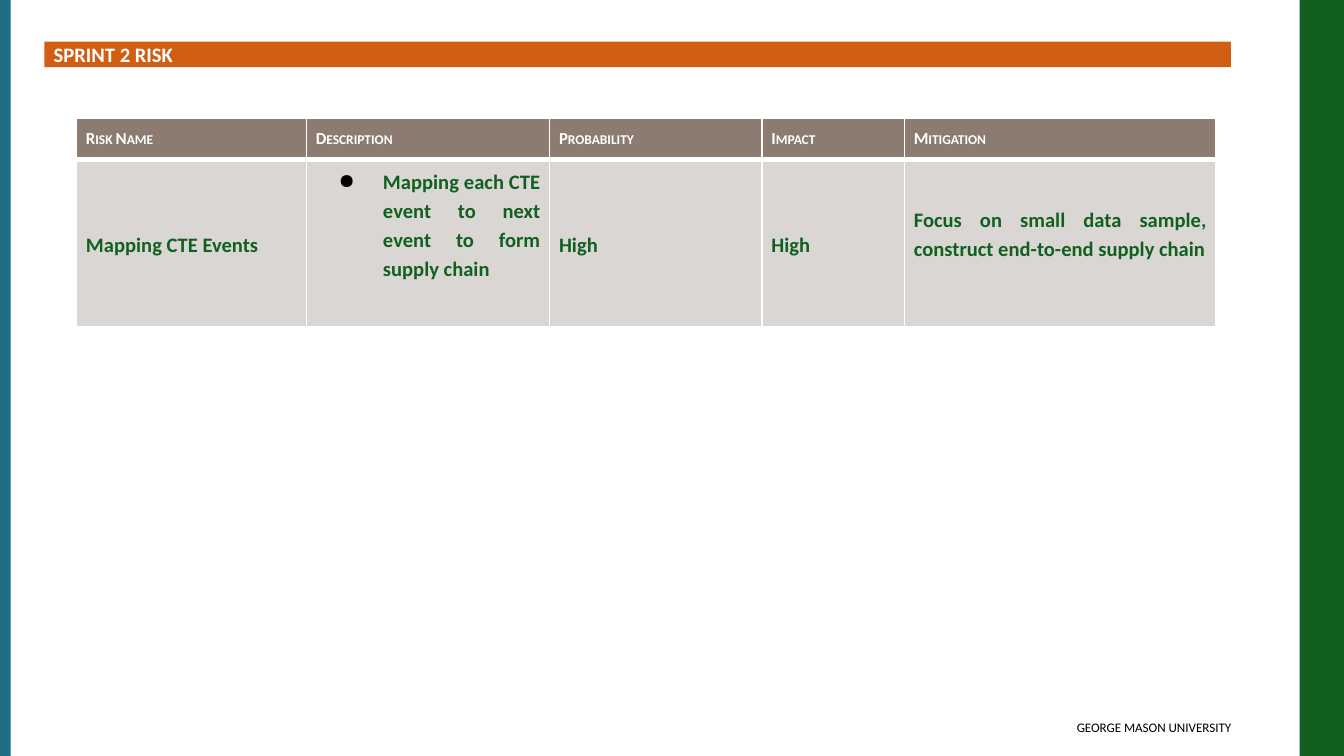
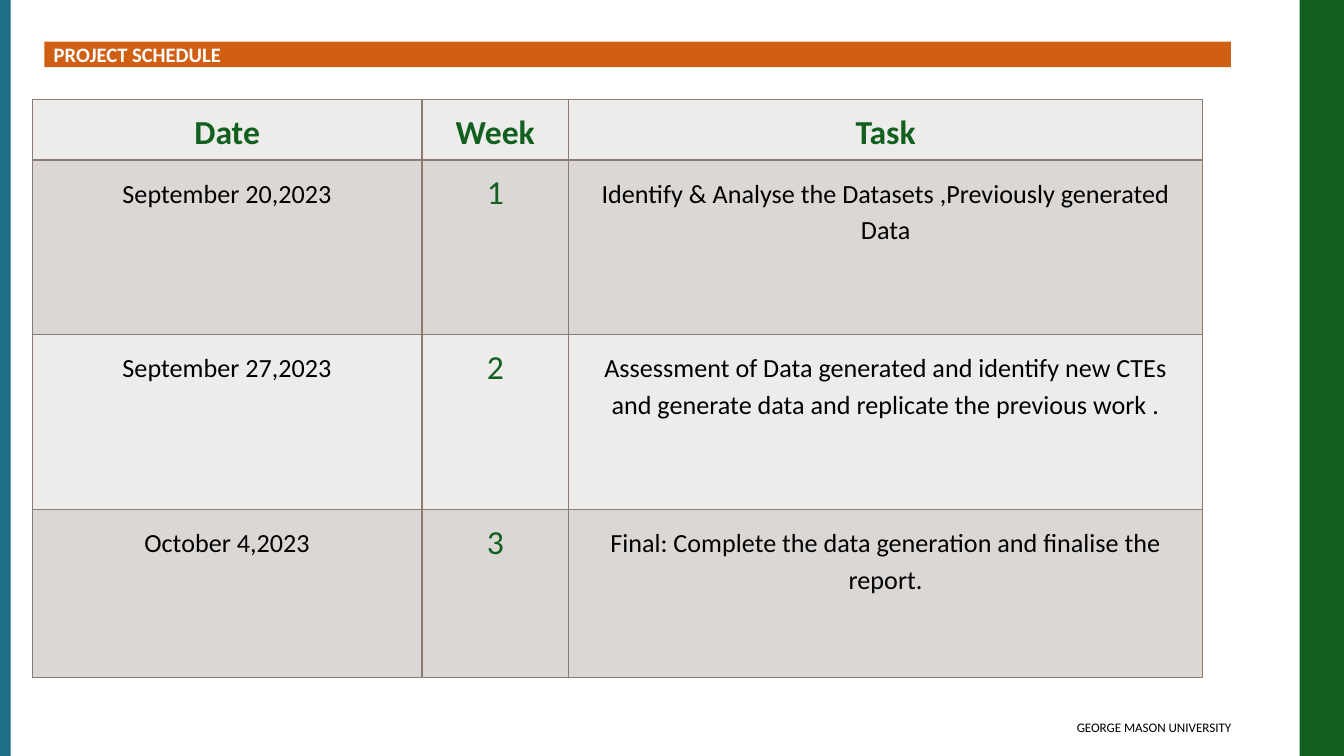
from lxml.etree import SubElement
from pptx import Presentation
from pptx.dml.color import RGBColor
from pptx.enum.shapes import MSO_SHAPE
from pptx.enum.text import MSO_ANCHOR, PP_ALIGN
from pptx.oxml.ns import qn
from pptx.util import Inches, Pt

# Palette and grid: one unit is a hundredth of the slide's width
GREEN, TEAL, RUST = "116020", "1E6E86", "D05F14"
WHITE, BLACK = "FFFFFF", "000000"
TAUPE, STONE = "8C7B70", "DAD6D4"
PALE, GREY = "EEECEB", "DBD7D5"
WIDE, HIGH = 100, 56.25
SIDES = ("left", "top", "right", "bottom")


def unit(n):
    return Inches(n / 10)


def color(code):
    return RGBColor.from_string(code)


def pads(item, sizes):
    for side, size in zip(SIDES, sizes):
        setattr(item, f"margin_{side}", unit(size))


class Deck:
    def __init__(self):
        self.file = Presentation()
        self.file.slide_width = unit(WIDE)
        self.file.slide_height = unit(HIGH)
        self.slide = None

    def page(self, title):
        """Start a slide with its side bands, title bar and footer."""
        self.slide = self.file.slides.add_slide(self.file.slide_layouts[6])
        self.band(96.7, 0, 3.3, HIGH, GREEN)
        self.band(0, 0, 0.8, HIGH, TEAL)
        foot = self.slide.shapes.add_textbox(*map(unit, (50.8, 53.1, 40.8, 2.5))).text_frame
        foot.word_wrap = True
        pads(foot, (0.7, 0.4, 0, 0.4))
        self.text(foot, "GEORGE MASON UNIVERSITY", size=7, align=PP_ALIGN.RIGHT)
        bar = self.band(3.3, 3.1, 88.3, 1.9, RUST).text_frame
        bar.vertical_anchor = MSO_ANCHOR.MIDDLE
        pads(bar, (0.7, 0, 0.7, 0))
        self.text(bar, title, size=11, bold=True, ink=WHITE)

    def band(self, x, y, w, h, fill):
        box = self.slide.shapes.add_shape(MSO_SHAPE.RECTANGLE, *map(unit, (x, y, w, h)))
        box.shadow.inherit = False
        box.fill.solid()
        box.fill.fore_color.rgb = color(fill)
        box.line.fill.background()
        return box

    def text(self, frame, words, size, bold=False, ink=BLACK,
             align=PP_ALIGN.LEFT, space=1.0, small=False, dot=False):
        para = frame.paragraphs[0]
        if dot:
            self.bullet(para)
        for name, value in {"alignment": align, "line_spacing": space}.items():
            setattr(para, name, value)
        run = para.add_run()
        run.text = words
        form = {"name": "Calibri", "size": Pt(size), "bold": bold}
        for name, value in form.items():
            setattr(run.font, name, value)
        run.font.color.rgb = color(ink)
        if small:
            run.font._element.set("cap", "small")

    def bullet(self, para):
        props = para._p.get_or_add_pPr()
        props.set("marL", str(unit(5)))
        props.set("indent", str(unit(-3.3)))
        tint = SubElement(props, qn("a:buClr"))
        SubElement(tint, qn("a:srgbClr"), val=BLACK)
        SubElement(props, qn("a:buChar"), char="●")

    def grid(self, x, y, cols, rows):
        """Add a plain table from column widths and row heights."""
        area = map(unit, (x, y, sum(cols), sum(rows)))
        table = self.slide.shapes.add_table(len(rows), len(cols), *area).table
        table.horz_banding = False
        for col, width in zip(table.columns, cols):
            col.width = unit(width)
        for row, height in zip(table.rows, rows):
            row.height = unit(height)
        return table

    def cell(self, cell, words, fill, edge, lines, inset, anchor=MSO_ANCHOR.TOP, **form):
        """Fill one cell; lines are border widths in the order of SIDES."""
        props = cell._tc.get_or_add_tcPr()
        for tag, width in zip("LRTB", (lines[0], lines[2], lines[1], lines[3])):
            line = SubElement(props, qn(f"a:ln{tag}"), w=str(Pt(width)))
            SubElement(SubElement(line, qn("a:solidFill")), qn("a:srgbClr"), val=edge)
        cell.fill.solid()
        cell.fill.fore_color.rgb = color(fill)
        cell.vertical_anchor = anchor
        pads(cell, inset)
        self.text(cell.text_frame, words, **form)


def risk(deck):
    deck.page("SPRINT 2 RISK")
    table = deck.grid(5.7, 8.8, (17.1, 18.1, 15.8, 10.6, 23.2), (3.1, 12.4))
    base = {"edge": WHITE, "anchor": MSO_ANCHOR.MIDDLE, "bold": True,
            "align": PP_ALIGN.JUSTIFY}
    head = base | {"fill": TAUPE, "lines": (1, 1, 1, 3), "size": 9, "ink": WHITE, "small": True}
    body = base | {"fill": STONE, "lines": (1, 3, 1, 1), "size": 11, "ink": GREEN, "space": 1.15}
    # Heading, entry, bottom inset that lifts the entry
    parts = (
        ("Risk Name", "Mapping CTE Events", 0.4),
        ("Description", "Mapping each CTE event to next event to form supply chain", 3.2),
        ("Probability", "High", 0.4),
        ("Impact", "High", 0.4),
        ("Mitigation", "Focus on small data sample, construct end-to-end supply chain", 1.9),
    )
    for col, (name, entry, low) in enumerate(parts):
        deck.cell(table.cell(0, col), name, inset=(0.7, 0.4, 0.7, 0.4), **head)
        deck.cell(table.cell(1, col), entry, inset=(0.7, 0.4, 0.7, low),
                  dot=name == "Description", **body)


def plan(deck):
    deck.page("PROJECT SCHEDULE")
    table = deck.grid(2.4, 7.4, (29, 10.9, 47.2), (4.5, 13, 13, 12.5))
    base = {"edge": TAUPE, "lines": (0.75,) * 4, "align": PP_ALIGN.CENTER, "space": 1.15}
    large = {"size": 18, "ink": GREEN, "inset": (1, 0.5, 1, 0.5)}
    plain = {"size": 14, "ink": BLACK, "inset": (1, 1, 1, 1)}
    tasks = (
        ("Date", "Week", "Task"),
        ("September 20,2023", "1", "Identify & Analyse the Datasets ,Previously generated Data"),
        ("September 27,2023", "2", "Assessment of Data generated and identify new CTEs "
                                   "and generate data and replicate the previous work ."),
        ("October 4,2023", "3", "Final: Complete the data generation and finalise the report."),
    )
    for row, words in enumerate(tasks):
        for col, word in enumerate(words):
            look = large if row == 0 or col == 1 else plain
            deck.cell(table.cell(row, col), word, fill=GREY if row % 2 else PALE,
                      bold=row == 0, **base, **look)


def main():
    deck = Deck()
    risk(deck)
    plan(deck)
    deck.file.save("out.pptx")


if __name__ == "__main__":
    main()
